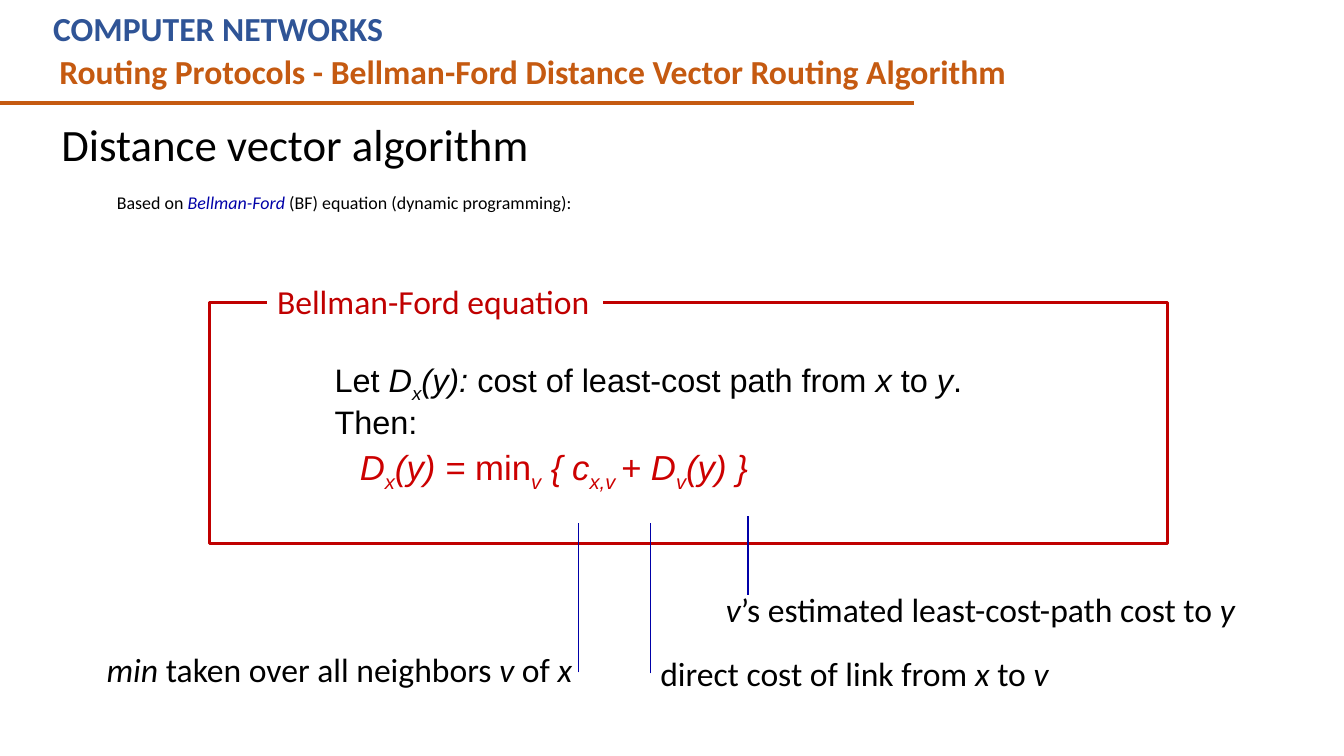
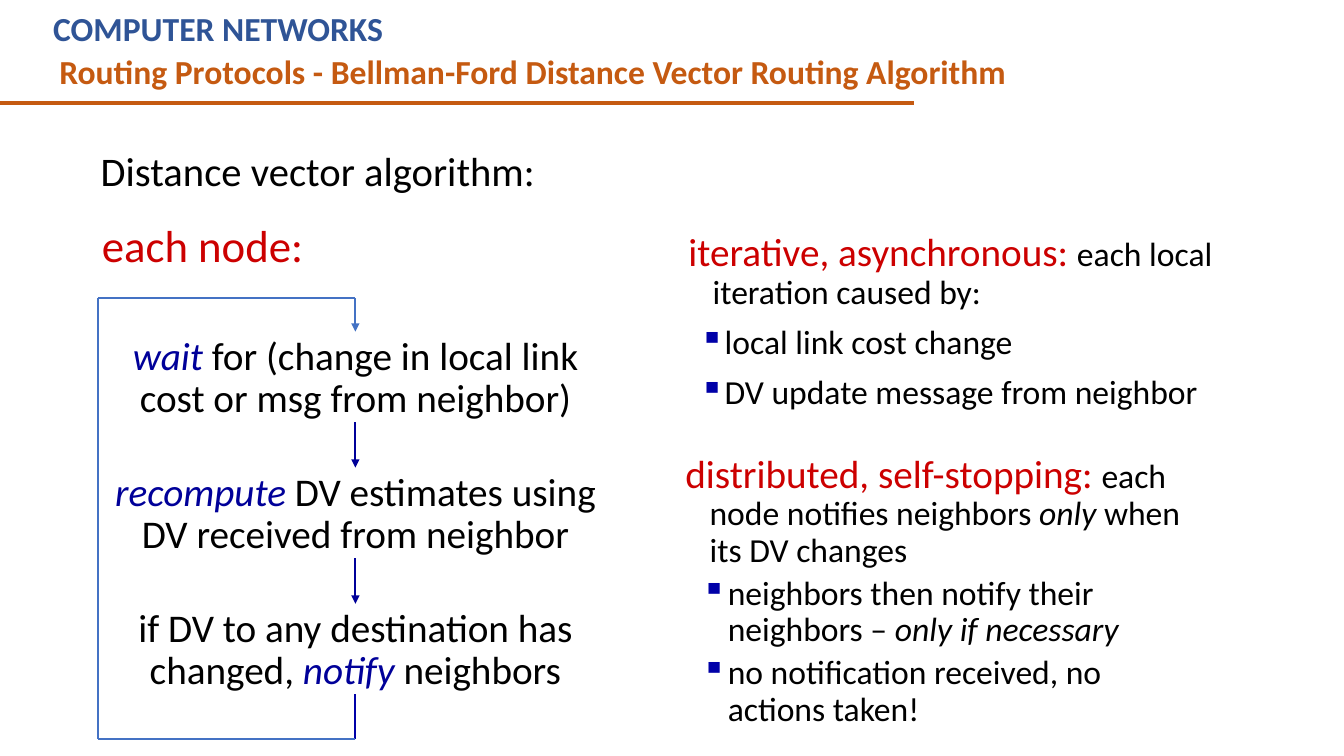
from dataclasses import dataclass

from lxml.etree import SubElement
from pptx import Presentation
from pptx.dml.color import RGBColor
from pptx.enum.shapes import MSO_CONNECTOR, MSO_SHAPE
from pptx.enum.text import MSO_ANCHOR, PP_ALIGN
from pptx.oxml.ns import qn
from pptx.util import Inches, Pt


@dataclass(frozen=True)
class Theme:
    font: str = "Calibri"
    math_font: str = "Arial"
    black: str = "000000"
    white: str = "FFFFFF"
    course: str = "2F5496"
    topic: str = "C55A11"
    frame: str = "C00000"
    red: str = "CC0000"
    blue: str = "0000A8"
    step_blue: str = "000099"
    loop: str = "4472C4"
    body: float = 24
    large: float = 28
    title: float = 32
    flow_title: float = 29
    note: float = 12.8
    math: float = 23.2
    equation: float = 24.8


THEME = Theme()

RUN_STYLES = {
    "plain": {},
    "italic": {"italic": True},
    "sub": {"italic": True, "baseline": -25000},
    "term": {"italic": True, "color": THEME.blue},
    "action": {"italic": True, "color": THEME.step_blue},
    "lead": {"size": THEME.large, "color": THEME.red},
}

COURSE = "COMPUTER NETWORKS"
TOPIC = "Routing Protocols - Bellman-Ford Distance Vector Routing Algorithm"

BASIS = [("Based on ", "plain"), ("Bellman-Ford", "term"),
         (" (BF) equation (dynamic programming):", "plain")]
DEFINITION = [("Let ", "plain"), ("D", "italic"), ("x", "sub"), ("(y): ", "italic"),
              ("cost of least-cost path from ", "plain"), ("x", "italic"),
              (" to ", "plain"), ("y", "italic"), (".", "plain")]
EQUATION = [("D", "italic"), ("x", "sub"), ("(y) = ", "italic"), ("min", "plain"),
            ("v", "sub"), (" { c", "italic"), ("x,v ", "sub"), ("+ D", "italic"),
            ("v", "sub"), ("(y) }", "italic")]
MINIMUM = [("min", "italic"), (" taken over all neighbors", "plain"),
           (" v ", "italic"), ("of ", "plain"), ("x", "italic")]
ESTIMATE = [("v", "italic"), ("’s estimated least-cost-path cost to ", "plain"), ("y", "italic")]
LINK_COST = [("direct cost of link from", "plain"), (" x ", "italic"),
             ("to ", "plain"), ("v", "italic")]

STEPS = [
    [("wait", "action"), (" for (change in local link cost or msg from neighbor)", "plain")],
    [("recompute", "action"), (" DV estimates using DV received from neighbor", "plain")],
    [("if DV to any destination has changed, ", "plain"), ("notify", "action"),
     (" neighbors", "plain")],
]

PROPERTIES = [
    {
        "box": (6.58, 2.26, 5.91, 2.16),
        "lead": [("iterative, asynchronous: ", "lead"),
                 ("each local iteration caused by:", "plain")],
        "bullets": [[("local link cost change", "plain")],
                    [("DV update message from neighbor", "plain")]],
        "indent": (0.5, -0.24),
        "before": 10,
    },
    {
        "box": (6.55, 4.46, 5.4, 3),
        "lead": [("distributed, self-stopping: ", "lead"),
                 ("each node notifies neighbors ", "plain"),
                 ("only", "italic"), (" when its DV changes", "plain")],
        "bullets": [[("neighbors then notify their neighbors – ", "plain"),
                     ("only if necessary", "italic")],
                    [("no notification received, no actions taken!", "plain")]],
        "indent": (0.57, -0.26),
        "before": 5,
    },
]


def color_of(value):
    return RGBColor.from_string(value)


def line_of(runs, **options):
    return {"runs": runs, **options}


def plain(text, **options):
    return line_of([(text, "plain")], **options)


def format_run(run, style, base):
    look = {**base, **RUN_STYLES[style]}
    run.font.name = look["font"]
    run.font.size = Pt(look["size"])
    run.font.color.rgb = color_of(look["color"])
    run.font.bold = look.get("bold", False)
    run.font.italic = look.get("italic", False)
    if "baseline" in look:
        run.font._element.set("baseline", str(look["baseline"]))


def fill_paragraph(paragraph, content, base):
    properties = paragraph._p.get_or_add_pPr()
    margin, indent = content.get("indent", (0, 0))
    properties.set("marL", str(Inches(margin)))
    properties.set("indent", str(Inches(indent)))
    if content.get("bullet"):
        bullet_color = SubElement(properties, qn("a:buClr"))
        SubElement(bullet_color, qn("a:srgbClr")).set("val", THEME.blue)
        SubElement(properties, qn("a:buChar")).set("char", "▪")
    paragraph.alignment = content.get("align", PP_ALIGN.LEFT)
    paragraph.line_spacing = content.get("spacing", 1.0)
    paragraph.space_before = Pt(content.get("before", 0))
    for text, style in content["runs"]:
        run = paragraph.add_run()
        run.text = text
        format_run(run, style, {**base, **content.get("look", {})})


def add_text(slide, box, contents, anchor=MSO_ANCHOR.TOP, fill=None, **look):
    shape = slide.shapes.add_textbox(*map(Inches, box))
    if fill:
        shape.fill.solid()
        shape.fill.fore_color.rgb = color_of(fill)
    frame = shape.text_frame
    frame.word_wrap = True
    frame.vertical_anchor = anchor
    base = {"font": THEME.font, "size": THEME.body, "color": THEME.black, **look}
    for index, content in enumerate(contents):
        paragraph = frame.add_paragraph() if index else frame.paragraphs[0]
        fill_paragraph(paragraph, content, base)
    return shape


def add_line(slide, start, end, color, width, arrow=False, begin=None, finish=None):
    connector = slide.shapes.add_connector(
        MSO_CONNECTOR.STRAIGHT, *map(Inches, (*start, *end)))
    if begin:
        connector.begin_connect(*begin)
    if finish:
        connector.end_connect(*finish)
    connector.line.color.rgb = color_of(color)
    connector.line.width = Pt(width)
    if arrow:
        outline = connector.line._get_or_add_ln()
        SubElement(outline, qn("a:tailEnd")).set("type", "triangle")
    SubElement(connector._element.spPr, qn("a:effectLst"))


def add_slide(presentation):
    slide = presentation.slides.add_slide(presentation.slide_layouts[6])
    add_text(slide, (0.43, 0.03, 8.2, 0.5), [plain(COURSE)], color=THEME.course, bold=True)
    add_text(slide, (0.49, 0.46, 10.5, 0.5), [plain(TOPIC)], color=THEME.topic, bold=True)
    add_line(slide, (0, 1.02), (9.07, 1.02), THEME.topic, 3)
    return slide


def add_title(slide, box, text, size):
    add_text(slide, box, [plain(text, spacing=0.9)], MSO_ANCHOR.MIDDLE, size=size)


def build_equation_slide(presentation):
    slide = add_slide(presentation)
    add_title(slide, (0.51, 1.15, 8.91, 0.61), "Distance vector algorithm", THEME.title)
    add_text(slide, (0.92, 1.89, 11.83, 0.57),
             [line_of(BASIS, indent=(0.14, 0), spacing=0.8)], size=THEME.note)

    frame = slide.shapes.add_shape(MSO_SHAPE.RECTANGLE, *map(Inches, (2.08, 3, 9.5, 2.39)))
    frame.shadow.inherit = False
    frame.fill.background()
    frame.line.color.rgb = color_of(THEME.frame)
    frame.line.width = Pt(2)
    add_text(slide, (2.65, 2.74, 3.33, 0.5), [plain("Bellman-Ford equation")],
             fill=THEME.white, color=THEME.frame)

    hanging = {"indent": (0.39, -0.24), "spacing": 0.7}
    add_text(slide, (3.07, 3.6, 8.4, 1.7), [
        line_of(DEFINITION, **hanging),
        plain("Then:", before=10, **hanging),
        line_of(EQUATION, indent=(0.4, 0), spacing=0.7, before=10,
                look={"size": THEME.equation, "color": THEME.red}),
    ], font=THEME.math_font, size=THEME.math)

    add_text(slide, (0.96, 6.39, 4.86, 0.5), [line_of(MINIMUM)])
    add_text(slide, (7.1, 5.79, 5.31, 0.5), [line_of(ESTIMATE)])
    link_cost = add_text(slide, (6.45, 6.43, 4.08, 0.5), [line_of(LINK_COST)])
    add_line(slide, (5.74, 6.67), (5.74, 5.19), THEME.blue, 1)
    add_line(slide, (7.42, 5.9), (7.42, 5.12), THEME.blue, 1)
    add_line(slide, (6.45, 6.68), (6.45, 5.19), THEME.blue, 1, begin=(link_cost, 1))


def add_flow(slide):
    left, top, width, height, pitch = 1, 3.29, 5.05, 0.9, 1.35
    center = left + width / 2
    loop_left, loop_top, loop_bottom = 0.97, 2.96, 7.33
    tops = [top + index * pitch for index in range(len(STEPS))]
    steps = [
        add_text(slide, (left, step_top, width, height),
                 [line_of(runs, align=PP_ALIGN.CENTER, spacing=0.9)], size=THEME.large)
        for step_top, runs in zip(tops, STEPS)
    ]
    for index in range(len(steps) - 1):
        add_line(slide, (center, tops[index] + height), (center, tops[index + 1]),
                 THEME.step_blue, 1.5, True, (steps[index], 2), (steps[index + 1], 0))
    add_line(slide, (center, tops[-1] + height), (center, loop_bottom),
             THEME.blue, 1.5, begin=(steps[-1], 2))
    corners = [(center, loop_bottom), (loop_left, loop_bottom),
               (loop_left, loop_top), (center, loop_top)]
    for start, end in zip(corners, corners[1:]):
        add_line(slide, start, end, THEME.loop, 1.5)
    add_line(slide, corners[-1], (center, top), THEME.loop, 1.5, True, finish=(steps[0], 0))


def build_flow_slide(presentation):
    slide = add_slide(presentation)
    add_title(slide, (0.9, 1.23, 11.5, 0.98), "Distance vector algorithm:", THEME.flow_title)
    add_text(slide, (0.9, 2.11, 2.22, 0.64), [plain("each node:", align=PP_ALIGN.CENTER)],
             size=THEME.title, color=THEME.red)
    add_flow(slide)
    for item in PROPERTIES:
        lead = line_of(item["lead"], indent=(0.39, -0.24), spacing=0.9)
        bullets = [line_of(runs, bullet=True, indent=item["indent"],
                           spacing=0.9, before=item["before"])
                   for runs in item["bullets"]]
        add_text(slide, item["box"], [lead, *bullets])


def main():
    presentation = Presentation()
    presentation.slide_width = Inches(13.33)
    presentation.slide_height = Inches(7.5)
    build_equation_slide(presentation)
    build_flow_slide(presentation)
    presentation.save("out.pptx")


if __name__ == "__main__":
    main()
